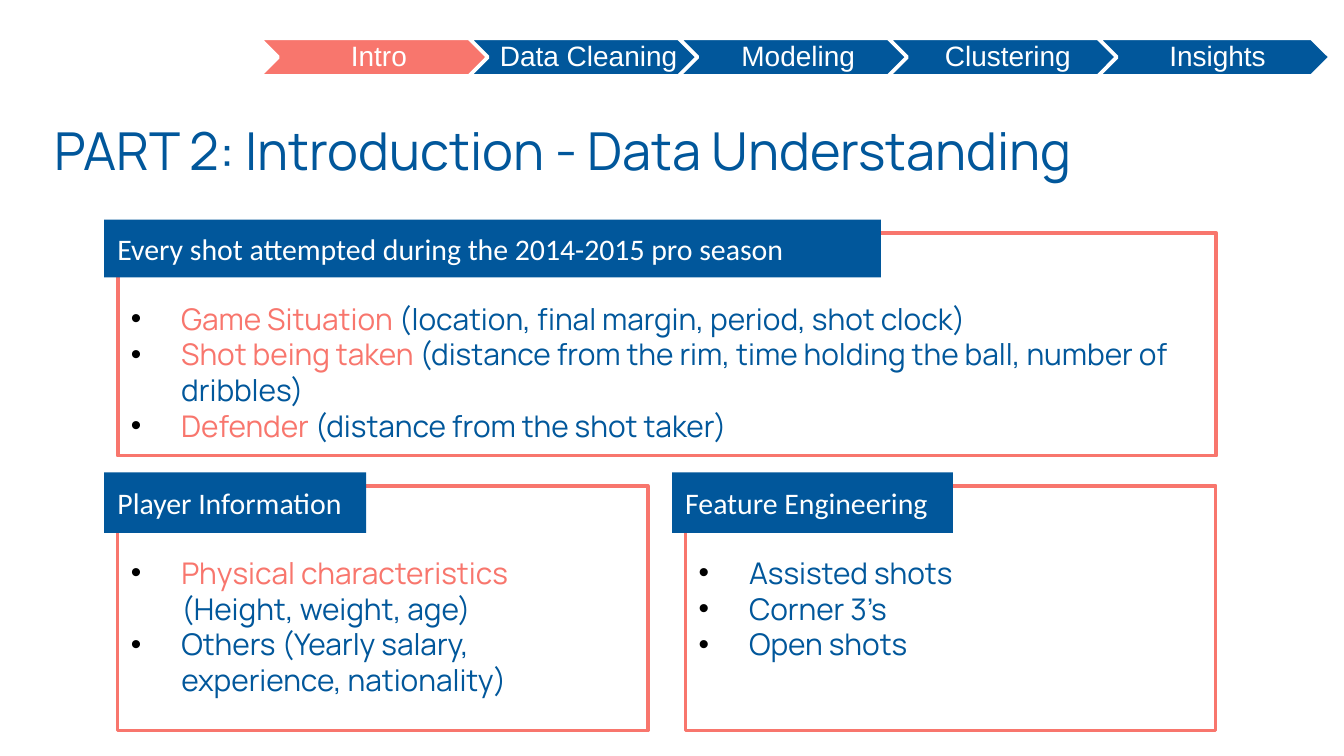
from pptx import Presentation
from pptx.dml.color import RGBColor
from pptx.enum.shapes import MSO_SHAPE as Shape
from pptx.enum.text import MSO_ANCHOR as Anchor, PP_ALIGN as Align
from pptx.oxml import parse_xml
from pptx.oxml.ns import nsdecls
from pptx.util import Pt

PX = 4572
COLORS = {"blue": "01579B", "coral": "F8766D", "white": "FFFFFF", "black": "000000"}


def rgb(name):
    return RGBColor.from_string(COLORS[name])


def add_span(para, text, font, size, color):
    span = para.add_run()
    span.text = text
    span.font.name = font
    span.font.size = Pt(size)
    span.font.color.rgb = rgb(color)


def set_insets(frame, left, top, right, bottom):
    frame.word_wrap = True
    frame.margin_left, frame.margin_top = left * PX, top * PX
    frame.margin_right, frame.margin_bottom = right * PX, bottom * PX


def add_block(page, kind, box, fill=None, line=None):
    block = page.shapes.add_shape(kind, *[side * PX for side in box])
    block.shadow.inherit = False
    if fill:
        block.fill.solid()
        block.fill.fore_color.rgb = rgb(fill)
    else:
        block.fill.background()
    if line:
        block.line.color.rgb = rgb(line)
        block.line.width = Pt(2)
    else:
        block.line.fill.background()
    return block


def add_text_box(page, box, insets):
    frame = page.shapes.add_textbox(*[side * PX for side in box]).text_frame
    set_insets(frame, *insets)
    return frame


def add_bullet(para):
    props = para._p.get_or_add_pPr()
    props.set("marL", str(75 * PX))
    props.set("indent", str(-75 * PX))
    for tag in (
        f'<a:buClr {nsdecls("a")}><a:srgbClr val="{COLORS["black"]}"/></a:buClr>',
        f'<a:buFont {nsdecls("a")} typeface="Arial"/>',
        f'<a:buChar {nsdecls("a")} char="•"/>',
    ):
        props.append(parse_xml(tag))


def add_progress(page, box, steps, current):
    left, top, width, height = box
    overlap = 34
    step_width = (width + overlap * (len(steps) - 1)) // len(steps)
    for index, step in enumerate(steps):
        place = (left + index * (step_width - overlap), top, step_width, height)
        fill = "coral" if step == current else "blue"
        frame = add_block(page, Shape.CHEVRON, place, fill, "white").text_frame
        set_insets(frame, 14, 4, 4, 4)
        frame.vertical_anchor = Anchor.MIDDLE
        para = frame.paragraphs[0]
        para.alignment = Align.CENTER
        para.line_spacing = 0.9
        add_span(para, step, "Arial", 15, "white")


def add_title(page, box, text):
    frame = add_text_box(page, box, (20, 20, 20, 20))
    add_span(frame.paragraphs[0], text, "Manrope", 28, "blue")


def add_panel(page, box, heading, tab, body, body_inset, items):
    left, top, width, height = box
    add_block(page, Shape.RECTANGLE, box, line="coral")

    tab_width, tab_height = tab
    tab_box = (left - 20, top - 20, tab_width, tab_height)
    frame = add_block(page, Shape.RECTANGLE, tab_box, "blue").text_frame
    set_insets(frame, 20, 10, 20, 10)
    frame.vertical_anchor = Anchor.MIDDLE
    para = frame.paragraphs[0]
    para.alignment = Align.LEFT
    add_span(para, heading, "Calibri", 16, "white")

    offset, body_width, body_height = body
    frame = add_text_box(page, (left, top + offset, body_width, body_height),
                         (20, body_inset, 20, 10))
    for index, spans in enumerate(items):
        para = frame.add_paragraph() if index else frame.paragraphs[0]
        add_bullet(para)
        for text, color in spans:
            add_span(para, text, "Manrope", 16, color)


def main():
    deck = Presentation()
    deck.slide_width, deck.slide_height = 2000 * PX, 1125 * PX
    page = deck.slides.add_slide(deck.slide_layouts[6])

    add_title(page, (62, 156, 2024, 234), "PART 2: Introduction - Data Understanding")
    add_panel(
        page, (175, 347, 1635, 331),
        "Every shot attempted during the 2014-2015 pro season", (1156, 86),
        (90, 1634, 236), 10,
        [
            [("Game Situation ", "coral"),
             ("(location, final margin, period, shot clock)", "blue")],
            [("Shot being taken", "coral"),
             (" (distance from the rim, time holding the ball, number of dribbles)", "blue")],
            [("Defender", "coral"), (" (distance from the shot taker)", "blue")],
        ])
    add_panel(
        page, (175, 723, 789, 364), "Player Information", (390, 90),
        (38, 722, 290), 64,
        [
            [("Physical characteristics ", "coral"), ("(Height, weight, age)", "blue")],
            [("Others (Yearly salary, experience, nationality)", "blue")],
        ])
    add_panel(
        page, (1020, 723, 789, 364), "Feature Engineering", (418, 90),
        (38, 722, 236), 64,
        [[(text, "blue")] for text in ("Assisted shots", "Corner 3’s", "Open shots")])
    add_progress(page, (386, 57, 1594, 56),
                 ["Intro", "Data Cleaning", "Modeling", "Clustering", "Insights"], "Intro")

    deck.save("out.pptx")


if __name__ == "__main__":
    main()
